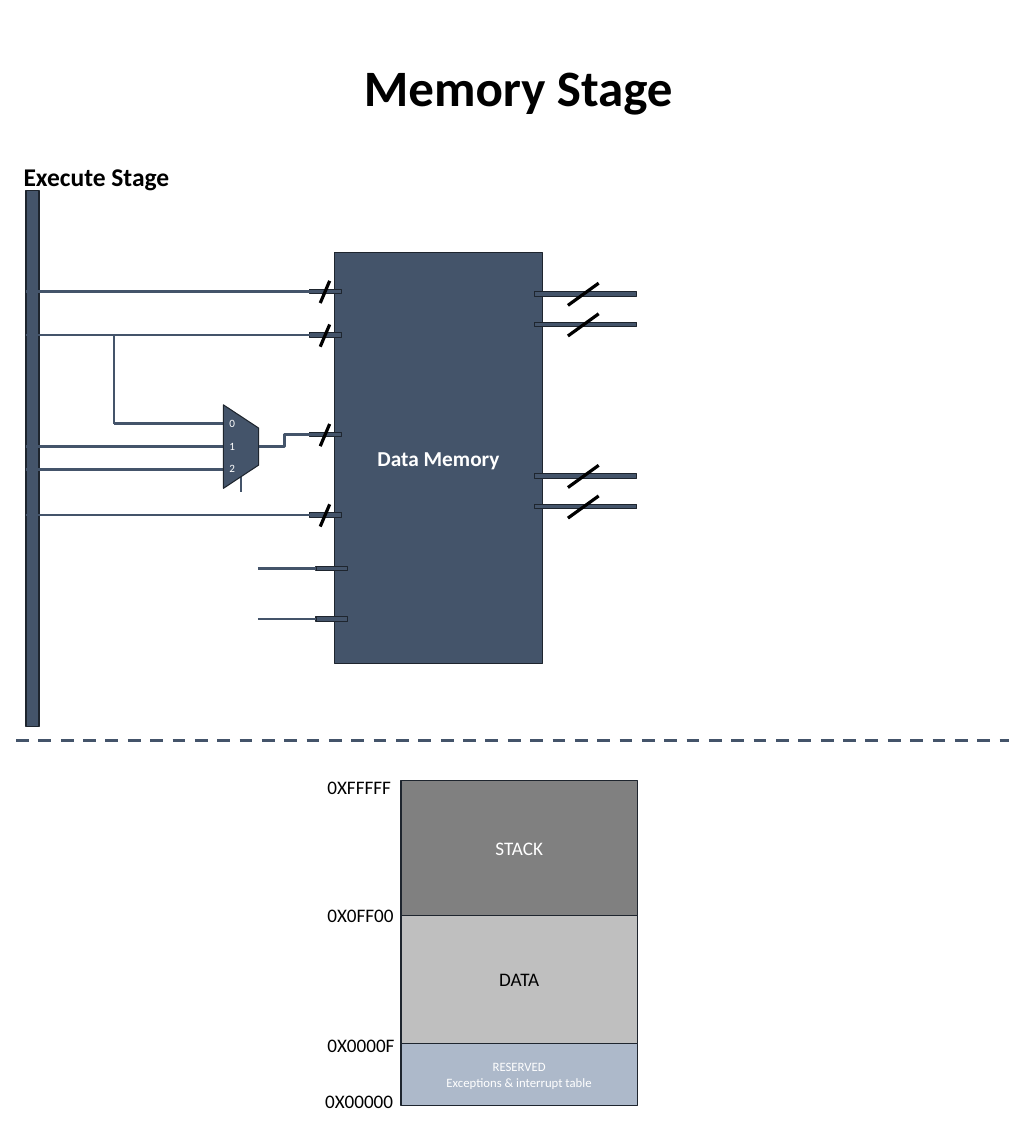
from dataclasses import dataclass

from pptx import Presentation
from pptx.dml.color import RGBColor
from pptx.enum.dml import MSO_LINE
from pptx.enum.shapes import MSO_CONNECTOR, MSO_SHAPE
from pptx.enum.text import MSO_ANCHOR, MSO_AUTO_SIZE, PP_ALIGN
from pptx.oxml.ns import qn
from pptx.util import Inches, Pt

# The grid has cells of one inch: columns run across, rows run down.
COLUMNS, ROWS = 13.33, 15


@dataclass(frozen=True)
class Theme:
    font: str = "Calibri"
    ink: str = "000000"
    paper: str = "FFFFFF"
    logic: str = "44546A"
    edge: str = "1E252E"
    stack: str = "808080"
    data: str = "BFBFBF"
    reserved: str = "ADB9CA"
    title: float = 48
    heading: float = 24
    block: float = 20
    body: float = 18
    note: float = 12
    port: float = 10.5
    edge_width: float = 1
    wire_width: float = 2.25
    bold_width: float = 3


THEME = Theme()


@dataclass(frozen=True)
class Box:
    left: float
    top: float
    width: float
    height: float

    @property
    def middle(self):
        return self.top + self.height / 2

    @property
    def center(self):
        return self.left + self.width / 2

    def inner(self, column, row, width, height):
        """Box whose corner is offset from this one's corner."""
        return Box(self.left + column, self.top + row, width, height)

    def point(self, column, row):
        return self.left + column, self.top + row

    def emu(self):
        return [Inches(v) for v in (self.left, self.top, self.width, self.height)]


def write(shape, text, size, color, bold=False, align=PP_ALIGN.LEFT):
    frame = shape.text_frame
    frame.word_wrap = True
    frame.text = text
    for paragraph in frame.paragraphs:
        paragraph.alignment = align
        font = paragraph.font
        font.name, font.size, font.bold = THEME.font, Pt(size), bold
        font.color.rgb = RGBColor.from_string(color)


def add_label(slide, box, text, size, color=THEME.ink, bold=False):
    label = slide.shapes.add_textbox(*box.emu())
    write(label, text, size, color, bold)
    label.text_frame.auto_size = MSO_AUTO_SIZE.SHAPE_TO_FIT_TEXT


def add_block(slide, box, fill=THEME.logic, kind=MSO_SHAPE.RECTANGLE):
    block = slide.shapes.add_shape(kind, *box.emu())
    block.shadow.inherit = False
    block.fill.solid()
    block.fill.fore_color.rgb = RGBColor.from_string(fill)
    block.line.color.rgb = RGBColor.from_string(THEME.edge)
    block.line.width = Pt(THEME.edge_width)
    return block


def add_wire(slide, start, end, color=THEME.logic, width=THEME.wire_width,
             kind=MSO_CONNECTOR.STRAIGHT):
    wire = slide.shapes.add_connector(kind, *[Inches(v) for v in (*start, *end)])
    wire.line.color.rgb = RGBColor.from_string(color)
    wire.line.width = Pt(width)
    properties = wire._element.spPr
    properties.append(properties.makeelement(qn("a:effectLst"), {}))
    return wire


def add_bus(slide, start, width, slashed=True):
    """Thin bar centred on the start row, with a slash for several bits."""
    left, row = start
    bar = add_block(slide, Box(left, row - 0.03, width, 0.06))
    if slashed:
        add_wire(slide, (left + 0.63 * width, row - 0.14),
                 (left + 0.33 * width, row + 0.15), THEME.ink, THEME.bold_width)
    return bar


def add_title(slide, box):
    title = slide.shapes.title
    title.left, title.top, title.width, title.height = box.emu()
    write(title, "Memory Stage", THEME.title, THEME.ink, True, PP_ALIGN.CENTER)
    title.text_frame.vertical_anchor = MSO_ANCHOR.MIDDLE


def add_multiplexer(slide, box, register_column, tap):
    """Draw the selector; tap is the point where input 0 leaves its wire."""
    pitch = 0.3
    rows = [box.middle + pitch * step for step in (-1, 0, 1)]
    inside = box.left + 0.07
    for row, start in zip(rows, (tap[0], register_column, register_column)):
        add_wire(slide, (start, row), (inside, row))
    add_wire(slide, tap, (tap[0], rows[0]))
    add_wire(slide, (box.center, box.middle), (box.center, box.middle + 0.6))

    # The trapezoid is laid flat, then turned so its short side faces right.
    flat = Box(box.center - box.height / 2, box.middle - box.width / 2,
               box.height, box.width)
    trapezoid = add_block(slide, flat, kind=MSO_SHAPE.TRAPEZOID)
    trapezoid.adjustments[0] = 0.66
    trapezoid.rotation = 90
    for number, row in enumerate(rows):
        add_label(slide, Box(box.left - 0.02, row - 0.15, box.width, 0.28),
                  str(number), THEME.port, THEME.paper)


def add_datapath(slide, box):
    add_block(slide, box.inner(0, 0, 0.17, box.height))
    add_label(slide, box.inner(-0.13, -0.44, 2.33, 0.5), "Execute Stage",
              THEME.heading, bold=True)
    memory = add_block(slide, box.inner(4.03, 0.81, 2.72, 5.37))
    write(memory, "Data Memory", THEME.block, THEME.paper, True, PP_ALIGN.CENTER)
    memory.text_frame.vertical_anchor = MSO_ANCHOR.MIDDLE

    pin_column, control_column, pin_width = 3.71, 3.79, 0.41
    tap_row = 1.89
    for row in (1.32, tap_row, 4.24):
        pin = add_bus(slide, box.point(pin_column, row), pin_width)
        wire = add_wire(slide, box.point(0, row), box.point(pin_column, row))
        wire.end_connect(pin, 1)
    for row in (4.94, 5.6):
        pin = add_bus(slide, box.point(control_column, row), pin_width, False)
        wire = add_wire(slide, box.point(3.03, row), box.point(control_column, row))
        wire.end_connect(pin, 1)
    for row in (1.35, 1.75, 3.73, 4.13):
        add_bus(slide, box.point(6.64, row), 1.34)

    selector = box.inner(2.58, 2.8, 0.46, 1.09)
    add_multiplexer(slide, selector, box.left, box.point(1.15, tap_row))
    address = box.point(pin_column, 3.19)
    pin = add_bus(slide, address, pin_width)
    output = add_wire(slide, (selector.left + selector.width, selector.middle), address,
                      width=THEME.bold_width, kind=MSO_CONNECTOR.ELBOW)
    output.end_connect(pin, 1)


def add_memory_map(slide, box):
    segments = [
        ("STACK", 1.76, THEME.stack, THEME.paper, THEME.body),
        ("DATA", 1.67, THEME.data, THEME.ink, THEME.body),
        ("RESERVED\nExceptions & interrupt table", 0.82, THEME.reserved,
         THEME.paper, THEME.note),
    ]
    edges = [0]
    for text, height, fill, color, size in segments:
        segment = add_block(slide, box.inner(0, edges[-1], box.width, height), fill)
        write(segment, text, size, color, align=PP_ALIGN.CENTER)
        segment.text_frame.vertical_anchor = MSO_ANCHOR.MIDDLE
        edges.append(edges[-1] + height)
    addresses = [("0XFFFFF", -1.06, 0.12), ("0X0FF00", -1.06, 0.21),
                 ("0X0000F", -1.06, 0.18), ("0X00000", -1.09, 0.26)]
    for edge, (text, column, rise) in zip(edges, addresses):
        add_label(slide, box.inner(column, edge - rise, 1.52, 0.4), text, THEME.body)


def main():
    presentation = Presentation()
    presentation.slide_width, presentation.slide_height = Inches(COLUMNS), Inches(ROWS)
    slide = presentation.slides.add_slide(presentation.slide_layouts[5])
    add_title(slide, Box(4.25, 0.67, 5.05, 0.91))
    add_datapath(slide, Box(0.34, 2.49, 7.98, 7))
    divider = add_wire(slide, (0.21, 9.68), (13.19, 9.68), width=THEME.bold_width)
    divider.line.dash_style = MSO_LINE.DASH
    add_memory_map(slide, Box(5.24, 10.2, 3.09, 4.25))
    presentation.save("out.pptx")


if __name__ == "__main__":
    main()
